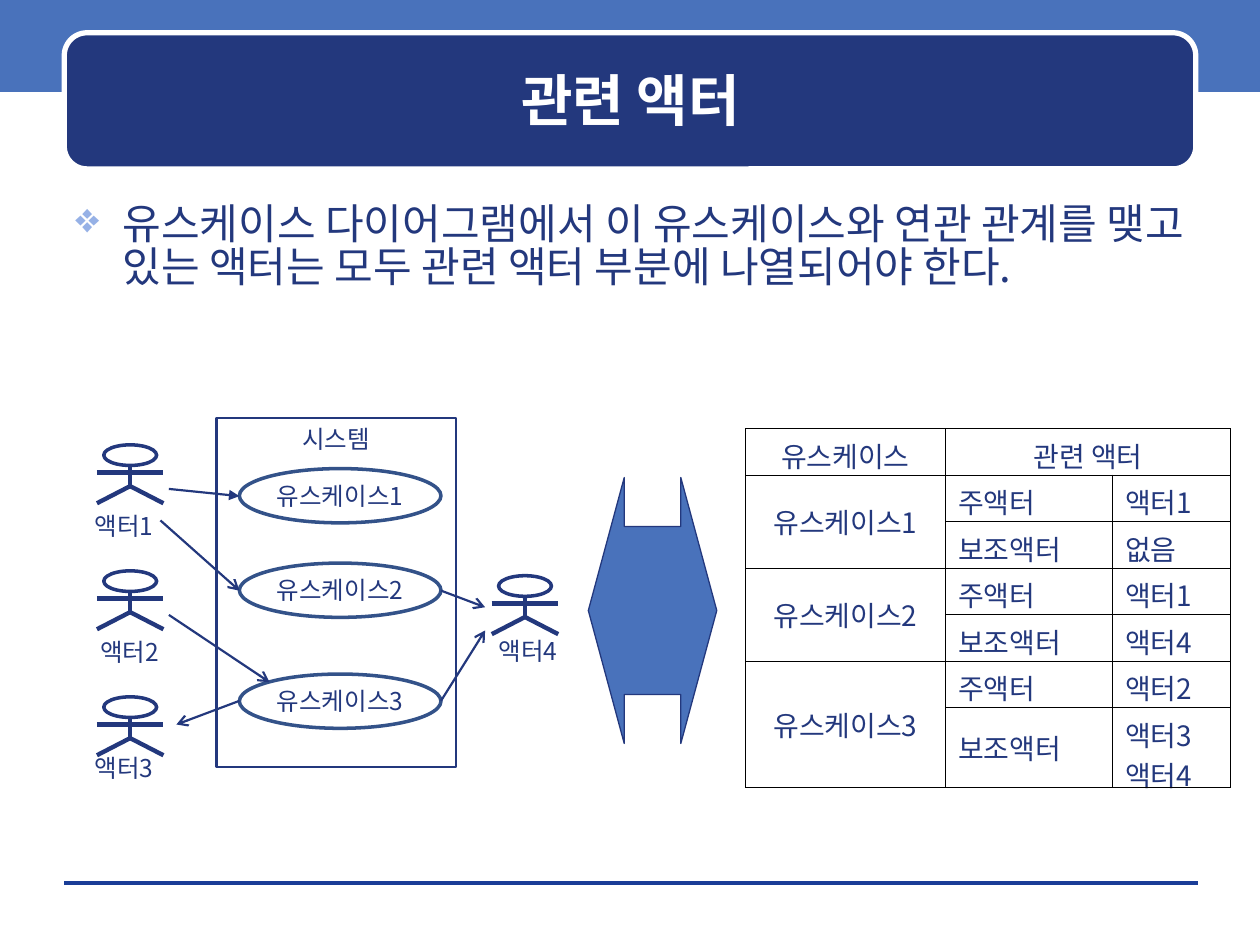
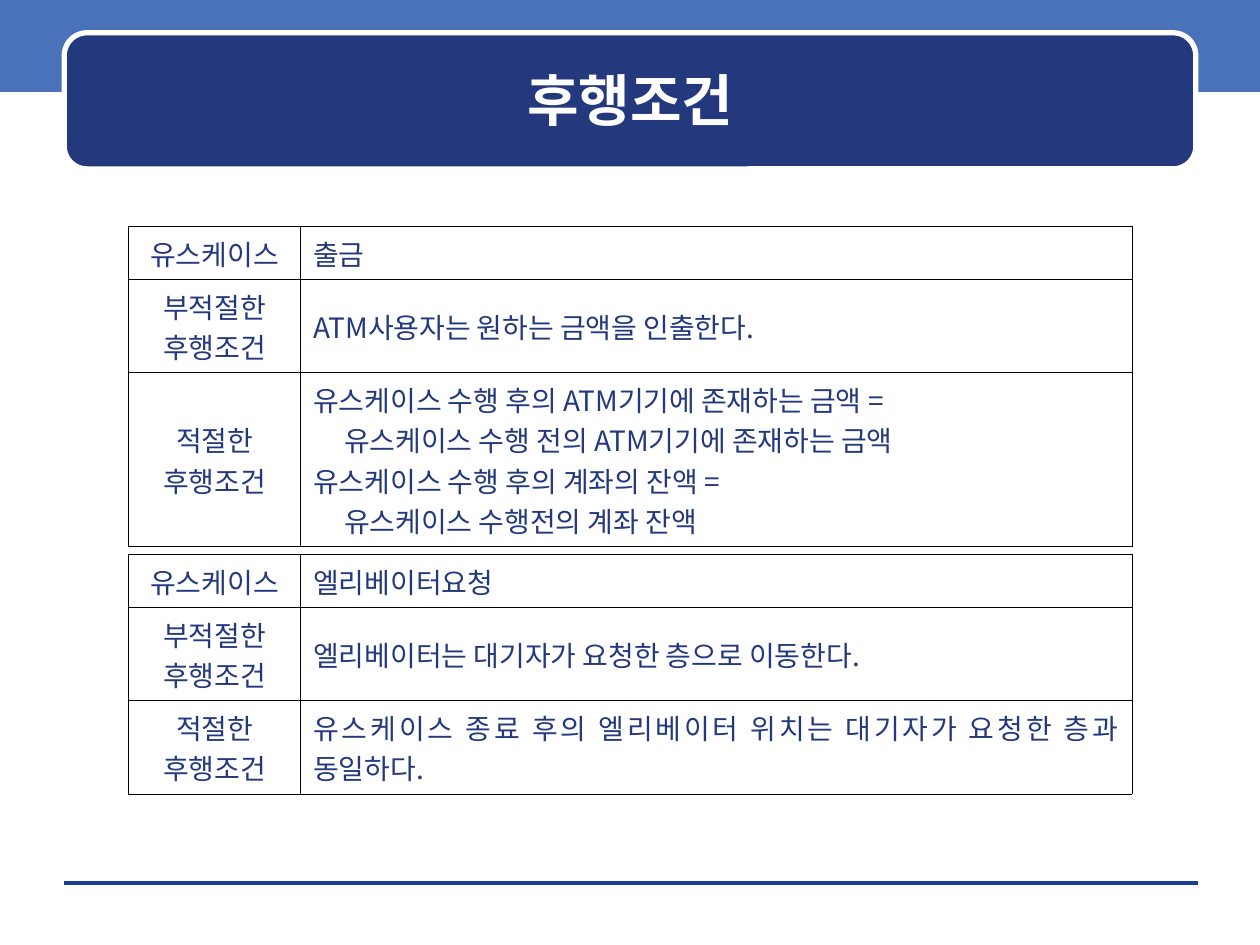
from lxml import etree
from pptx import Presentation
from pptx.dml.color import RGBColor
from pptx.enum.shapes import MSO_CONNECTOR, MSO_SHAPE
from pptx.enum.text import MSO_ANCHOR, PP_ALIGN
from pptx.oxml.ns import qn
from pptx.util import Pt

RECT, ROUNDED = MSO_SHAPE.RECTANGLE, MSO_SHAPE.ROUNDED_RECTANGLE
OVAL, DOUBLE_ARROW = MSO_SHAPE.OVAL, MSO_SHAPE.LEFT_RIGHT_ARROW
STRAIGHT = MSO_CONNECTOR.STRAIGHT
LEFT, CENTER, JUSTIFY = PP_ALIGN.LEFT, PP_ALIGN.CENTER, PP_ALIGN.JUSTIFY
TOP, MIDDLE = MSO_ANCHOR.TOP, MSO_ANCHOR.MIDDLE

FONT = "Noto Sans CJK KR"
NAVY, BLUE, OVAL_BLUE = "23387D", "4972BB", "335289"
RULE_BLUE, BULLET_BLUE, WHITE, BLACK = "1A3D97", "96B1E6", "FFFFFF", "000000"


def paint(item, line, width, fill=None):
    """Set the outline, and for shapes the fill, without a shadow."""
    if hasattr(item, "fill"):
        item.shadow.inherit = False
        if fill:
            item.fill.solid()
            item.fill.fore_color.rgb = RGBColor.from_string(fill)
        else:
            item.fill.background()
    else:
        etree.SubElement(item._element.spPr, qn("a:effectLst"))
    if line:
        item.line.color.rgb = RGBColor.from_string(line)
        item.line.width = Pt(width)
    else:
        item.line.fill.background()


def write(frame, text, size, align=CENTER, color=NAVY, bold=False, anchor=MIDDLE):
    """Fill a text frame, one paragraph for each line of the text."""
    frame.text = text
    frame.word_wrap = True
    frame.vertical_anchor = anchor
    for paragraph in frame.paragraphs:
        paragraph.alignment = align
        for run in paragraph.runs:
            run.font.name = FONT
            run.font.size = Pt(size)
            run.font.bold = bold
            run.font.color.rgb = RGBColor.from_string(color)
            etree.SubElement(run._r.get_or_add_rPr(), qn("a:ea"), typeface=FONT)


prs = Presentation()
prs.slide_width, prs.slide_height = Pt(720), Pt(540)

# Shared band, rule and title panel
for heading in ("관련 액터", "후행조건"):
    slide = prs.slides.add_slide(prs.slide_layouts[5])
    band = slide.shapes.add_shape(RECT, 0, Pt(-2), Pt(720), Pt(54.5))
    paint(band, None, 0, BLUE)
    rule = slide.shapes.add_connector(STRAIGHT, Pt(36.7), Pt(504.7), Pt(684.7), Pt(504.7))
    paint(rule, RULE_BLUE, 0)
    panel = slide.shapes.add_shape(ROUNDED, Pt(36.7), Pt(18.7), Pt(646.6), Pt(77.8))
    panel.adjustments[0] = 0.167
    paint(panel, WHITE, 3, NAVY)
    title = slide.shapes.title
    title.left, title.top, title.width, title.height = Pt(43.2), Pt(25.2), Pt(634.3), Pt(63.4)
    write(title.text_frame, heading, 32, color=WHITE, bold=True)
    slide.shapes._spTree.append(title._element)  # in front of the panel
actor_slide, condition_slide = prs.slides

# Rule about related actors
shapes = actor_slide.shapes
statement = shapes.add_textbox(Pt(36), Pt(113.8), Pt(648), Pt(383.8)).text_frame
write(statement, "유스케이스 다이어그램에서 이 유스케이스와 연관 관계를 맺고 있는 액터는 "
      "모두 관련 액터 부분에 나열되어야 한다.", 24, LEFT, anchor=TOP)
statement.paragraphs[0].line_spacing = 0.85
bullet = statement.paragraphs[0]._p.get_or_add_pPr()
bullet.set("marL", str(Pt(27)))
bullet.set("indent", str(Pt(-27)))
bullet_color = etree.SubElement(bullet, qn("a:buClr"))
etree.SubElement(bullet_color, qn("a:srgbClr"), val=BULLET_BLUE)
etree.SubElement(bullet, qn("a:buChar"), char="❖")

# System boundary and use cases
system = shapes.add_shape(RECT, Pt(123.8), Pt(239), Pt(136.8), Pt(199.5))
paint(system, NAVY, 1.25)
write(system.text_frame, "시스템", 14, anchor=TOP)
for number, top in enumerate((267.8, 321.8, 385.2), 1):
    use_case = shapes.add_shape(OVAL, Pt(136.8), Pt(top), Pt(115.2), Pt(31))
    paint(use_case, OVAL_BLUE, 2)
    use_case.text_frame.margin_left = use_case.text_frame.margin_right = 0
    write(use_case.text_frame, f"유스케이스{number}", 14)

# Stick figures: centre, top, label centre, label top
actors = [
    (74.4, 254.2, 70.9, 288.7),
    (74.4, 326.2, 74.2, 360.7),
    (74.4, 398.2, 70.9, 427),
    (300, 329, 301.7, 360),
]
limbs = [(0, 12, 0, 23.6), (-19, 15.8, 19, 15.8), (0, 23.6, -19, 33.4), (0, 23.6, 19, 33.4)]
for number, (center, top, label_center, label_top) in enumerate(actors, 1):
    head = shapes.add_shape(OVAL, Pt(center - 15.1), Pt(top), Pt(30.2), Pt(11.8))
    paint(head, NAVY, 2)
    for x1, y1, x2, y2 in limbs:
        limb = shapes.add_connector(STRAIGHT, Pt(center + x1), Pt(top + y1),
                                    Pt(center + x2), Pt(top + y2))
        paint(limb, NAVY, 2.5)
    label = shapes.add_textbox(Pt(label_center - 38), Pt(label_top), Pt(76), Pt(24.5))
    write(label.text_frame, f"액터{number}", 14, anchor=TOP)

# Associations, each pointing at its second end
associations = [
    (96.5, 279.4, 136.8, 283.5, "triangle"),
    (91.7, 297.4, 136.8, 337.5, "arrow"),
    (96.5, 351.4, 154, 389.8, "arrow"),
    (136.8, 400.5, 100.8, 414, "arrow"),
    (252, 337.5, 277.2, 347, "arrow"),
    (252, 400.5, 277.2, 360.3, "arrow"),
]
for x1, y1, x2, y2, tip in associations:
    association = shapes.add_connector(STRAIGHT, Pt(x1), Pt(y1), Pt(x2), Pt(y2))
    paint(association, NAVY, 1.25)
    etree.SubElement(association.line._get_or_add_ln(), qn("a:tailEnd"), type=tip)

# Arrow between diagram and table
equivalence = shapes.add_shape(DOUBLE_ARROW, Pt(336.2), Pt(272.9), Pt(73.4), Pt(152))
equivalence.adjustments[0], equivalence.adjustments[1] = 0.632, 0.28
paint(equivalence, NAVY, 0.75, BLUE)

# Tables: slide, left, top, column widths, row heights, column alignments, rows
related_rows = [
    ("유스케이스", "관련 액터", ""),
    ("유스케이스1", "주액터", "액터1"),
    ("", "보조액터", "없음"),
    ("유스케이스2", "주액터", "액터1"),
    ("", "보조액터", "액터4"),
    ("유스케이스3", "주액터", "액터2"),
    ("", "보조액터", "액터3\n액터4"),
]
withdrawal_rows = [
    ("유스케이스", "출금"),
    ("부적절한\n후행조건", "ATM사용자는 원하는 금액을 인출한다."),
    ("적절한\n후행조건", "유스케이스 수행 후의 ATM기기에 존재하는 금액 =\n"
     "유스케이스 수행 전의 ATM기기에 존재하는 금액\n"
     "유스케이스 수행 후의 계좌의 잔액 =\n"
     "유스케이스 수행전의 계좌 잔액"),
]
elevator_rows = [
    ("유스케이스", "엘리베이터요청"),
    ("부적절한\n후행조건", "엘리베이터는 대기자가 요청한 층으로 이동한다."),
    ("적절한\n후행조건", "유스케이스 종료 후의 엘리베이터 위치는 대기자가 요청한 층과 동일하다."),
]
condition_widths, condition_aligns = (98.5, 475), (CENTER, JUSTIFY)
table_specs = [
    (actor_slide, 426, 244.8, (114.3, 95.5, 67.5), [26.6] * 6 + [45.8],
     (CENTER, LEFT, JUSTIFY), related_rows),
    (condition_slide, 73.4, 129.4, condition_widths, (26.6, 45.8, 84),
     condition_aligns, withdrawal_rows),
    (condition_slide, 73.4, 316.8, condition_widths, (26.6, 45.8, 45.8),
     condition_aligns, elevator_rows),
]
tables = []
for slide, left, top, widths, heights, aligns, rows in table_specs:
    table = slide.shapes.add_table(len(rows), len(widths), Pt(left), Pt(top),
                                   Pt(sum(widths)), Pt(sum(heights))).table
    table.first_row = table.horz_banding = False
    for column, width in zip(table.columns, widths):
        column.width = Pt(width)
    for r, values in enumerate(rows):
        table.rows[r].height = Pt(heights[r])
        for c, value in enumerate(values):
            cell = table.cell(r, c)
            write(cell.text_frame, value, 16, aligns[c])
            cell.vertical_anchor = MIDDLE
            for side in ("a:lnL", "a:lnR", "a:lnT", "a:lnB"):
                border = etree.SubElement(cell._tc.get_or_add_tcPr(), qn(side), w=str(Pt(0.45)))
                border_fill = etree.SubElement(border, qn("a:solidFill"))
                etree.SubElement(border_fill, qn("a:srgbClr"), val=BLACK)
            cell.fill.background()
    tables.append(table)
related, withdrawal, elevator = tables

# Merged cells and indented lines
related.cell(0, 1).merge(related.cell(0, 2))
related.cell(0, 1).text_frame.paragraphs[0].alignment = CENTER
for r in (1, 3, 5):
    related.cell(r, 0).merge(related.cell(r + 1, 0))
for paragraph in withdrawal.cell(2, 1).text_frame.paragraphs[1::2]:
    paragraph._p.get_or_add_pPr().set("marL", str(Pt(17.7)))

prs.save("out.pptx")
